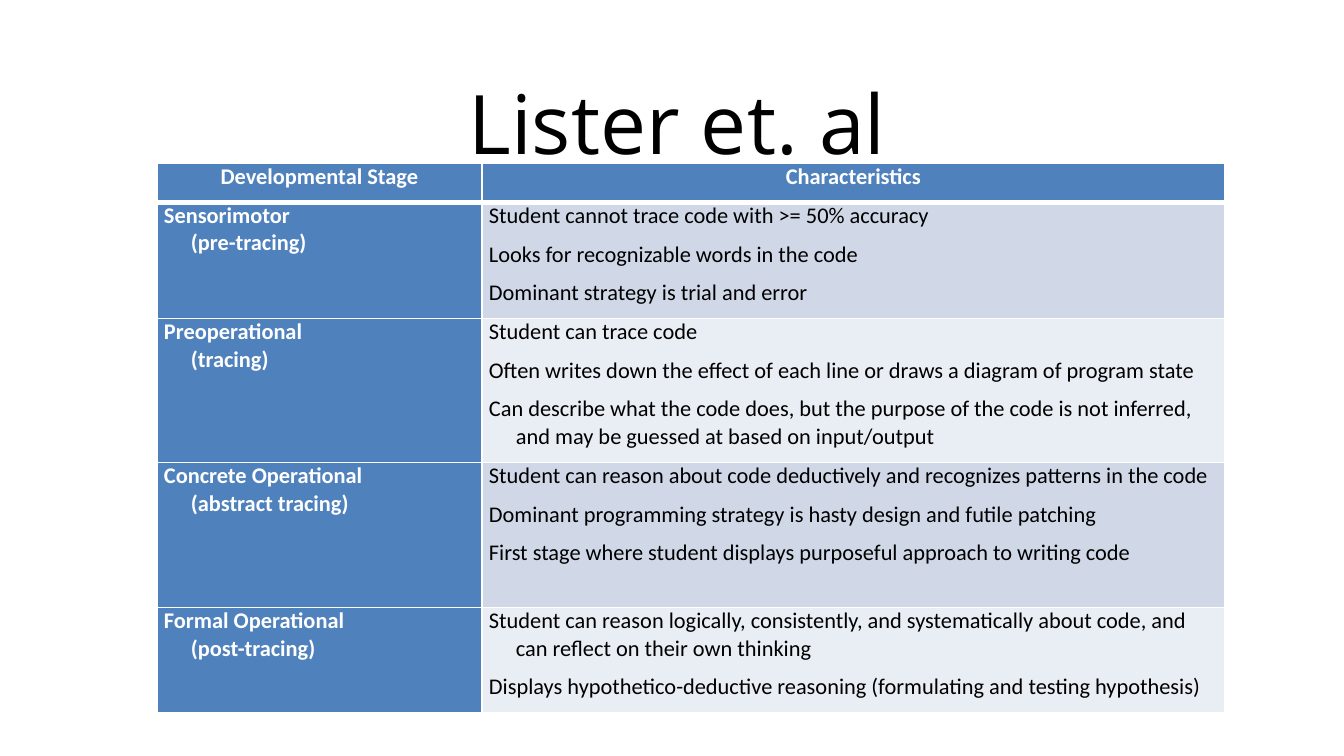
from copy import deepcopy

from lxml import etree
from pptx import Presentation
from pptx import util as u
from pptx.dml.color import RGBColor
from pptx.enum import text
from pptx.oxml.ns import qn

EMU_PER_PX = 6804
BLACK = RGBColor(0x00, 0x00, 0x00)
WHITE = RGBColor(0xFF, 0xFF, 0xFF)
BLUE = RGBColor(0x4F, 0x81, 0xBD)
BANDS = (RGBColor(0xD0, 0xD8, 0xE8), RGBColor(0xE9, 0xED, 0xF4))

HEADINGS = ("Developmental Stage", "Characteristics")
STAGES = (
    ("Sensorimotor\v(pre-tracing)", (
        "Student cannot trace code with >= 50% accuracy",
        "Looks for recognizable words in the code",
        "Dominant strategy is trial and error")),
    ("Preoperational\v(tracing)", (
        "Student can trace code",
        "Often writes down the effect of each line or draws a diagram of program state",
        "Can describe what the code does, but the purpose of the code is not inferred, "
        "and may be guessed at based on input/output")),
    ("Concrete Operational\v(abstract tracing)", (
        "Student can reason about code deductively and recognizes patterns in the code",
        "Dominant programming strategy is hasty design and futile patching",
        "First stage where student displays purposeful approach to writing code")),
    ("Formal Operational\v(post-tracing)", (
        "Student can reason logically, consistently, and systematically about code, "
        "and can reflect on their own thinking",
        "Displays hypothetico-deductive reasoning (formulating and testing hypothesis)")),
)
COLUMN_WIDTHS = (325, 743)
ROW_HEIGHTS = (38, 116, 144, 145, 105)


def px(length):
    return u.Emu(length * EMU_PER_PX)


def write_text(frame, lines, *, font="Calibri", size=12, color=BLACK, bold=False,
               align=text.PP_ALIGN.LEFT, hanging=0, spacing=0):
    """Write one paragraph per line; a vertical tab breaks a line inside it."""
    for index, line in enumerate(lines):
        paragraph = frame.paragraphs[0] if index == 0 else frame.add_paragraph()
        paragraph.text = line
        paragraph.alignment = align
        paragraph.space_before = paragraph.space_after = u.Pt(spacing)
        properties = paragraph._p.get_or_add_pPr()
        properties.set("marL", str(px(hanging)))
        properties.set("indent", str(px(-hanging)))
        for run in paragraph.runs:
            run.font.name = font
            run.font.size = u.Pt(size)
            run.font.bold = bold
            run.font.color.rgb = color
        for line_break in paragraph._p.findall(qn("a:br")):
            line_break.insert(0, deepcopy(paragraph.runs[0]._r.rPr))


def set_borders(cell, top=1, bottom=1):
    properties = cell._tc.get_or_add_tcPr()
    for side, width in (("L", 1), ("R", 1), ("T", top), ("B", bottom)):
        line = etree.SubElement(properties, qn(f"a:ln{side}"), w=str(u.Pt(width)))
        fill = etree.SubElement(line, qn("a:solidFill"))
        etree.SubElement(fill, qn("a:srgbClr"), val=str(WHITE))


def fill_cell(cell, lines, background, *, top=1, bottom=1,
              anchor=text.MSO_ANCHOR.TOP, **text_format):
    set_borders(cell, top, bottom)
    cell.fill.solid()
    cell.fill.fore_color.rgb = background
    cell.margin_left = cell.margin_right = px(7)
    cell.margin_top, cell.margin_bottom = 0, px(12)
    cell.vertical_anchor = anchor
    write_text(cell.text_frame, lines, hanging=27, spacing=3, **text_format)


def add_title(slide, title):
    shape = slide.shapes.title
    shape.left, shape.top, shape.width, shape.height = map(px, (78, 86, 1199, 71))
    frame = shape.text_frame
    frame.auto_size = text.MSO_AUTO_SIZE.NONE
    frame.vertical_anchor = text.MSO_ANCHOR.MIDDLE
    write_text(frame, [title], font="Open Sans", size=44, align=text.PP_ALIGN.CENTER)


def add_stage_table(slide):
    table = slide.shapes.add_table(
        len(ROW_HEIGHTS), len(COLUMN_WIDTHS), px(157), px(163),
        px(sum(COLUMN_WIDTHS)), px(sum(ROW_HEIGHTS))).table
    for column, width in zip(table.columns, COLUMN_WIDTHS):
        column.width = px(width)
    for row, height in zip(table.rows, ROW_HEIGHTS):
        row.height = px(height)
    for column, heading in enumerate(HEADINGS):
        fill_cell(table.cell(0, column), [heading], BLUE, bottom=3,
                  anchor=text.MSO_ANCHOR.BOTTOM, color=WHITE, bold=True,
                  align=text.PP_ALIGN.CENTER)
    for row, (stage, characteristics) in enumerate(STAGES, start=1):
        top = 3 if row == 1 else 1
        fill_cell(table.cell(row, 0), [stage], BLUE, top=top, color=WHITE, bold=True)
        fill_cell(table.cell(row, 1), characteristics, BANDS[(row - 1) % 2], top=top)


def main():
    presentation = Presentation()
    presentation.slide_width, presentation.slide_height = px(1344), px(756)
    slide = presentation.slides.add_slide(presentation.slide_layouts[5])
    add_title(slide, "Lister et. al")
    add_stage_table(slide)
    presentation.save("out.pptx")


if __name__ == "__main__":
    main()
